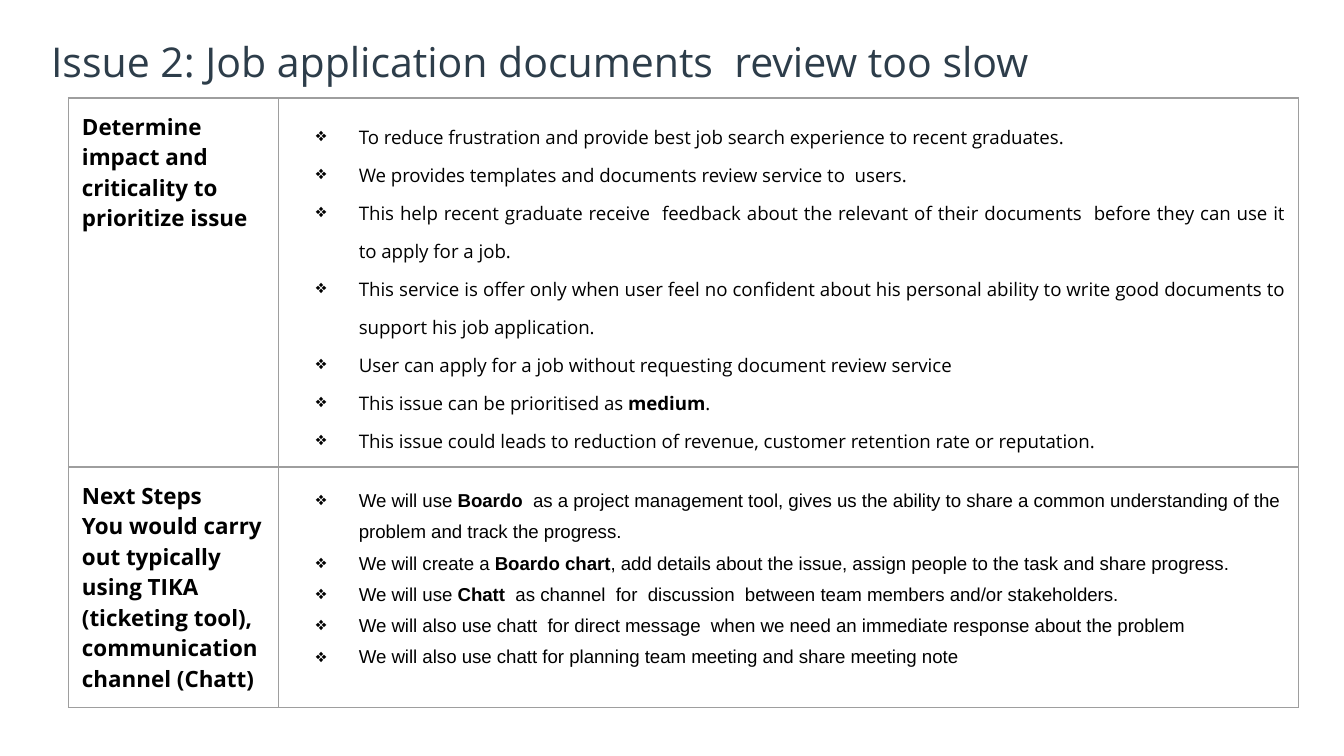
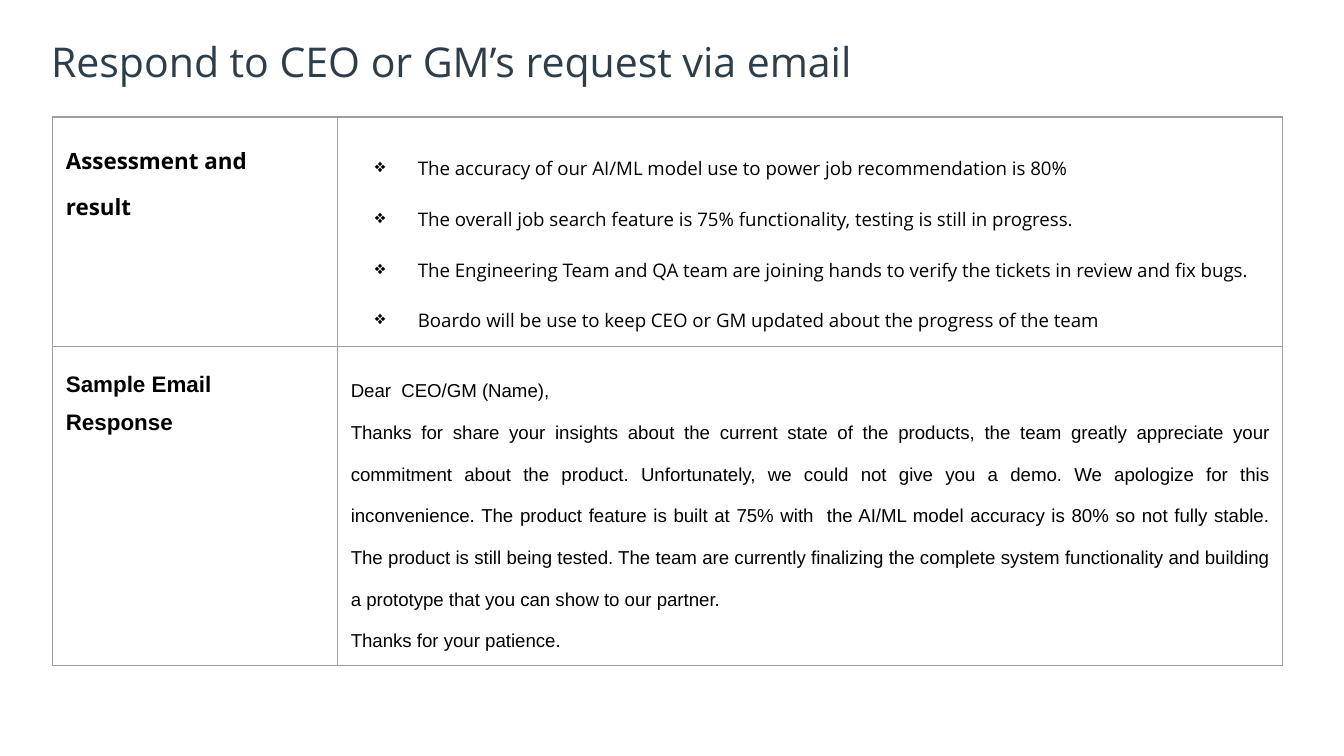
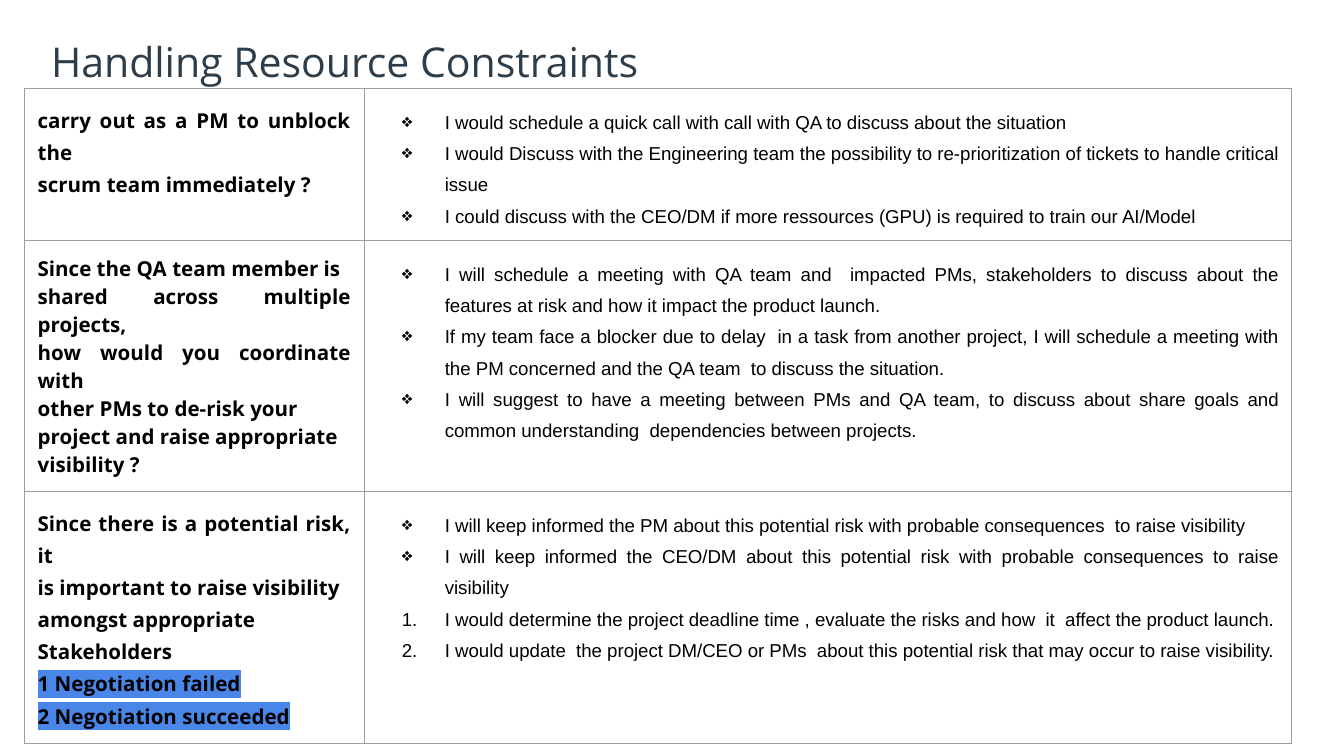
"""Builds three project-management slides, each a title above a bordered table."""
import dataclasses
import typing

import lxml.etree
import pptx
import pptx.dml.color
import pptx.enum.text
import pptx.oxml.ns
import pptx.util

GRID = pptx.util.Inches(0.1)
SLIDE_COLUMNS, SLIDE_ROWS = 100, 56.25
ROW_HEIGHT = 4.2
PADDING = 1
BULLET_MARGIN, BULLET_INDENT = 5, -3.2
TITLE_AREA = {"left": 3.4, "top": 2.4, "width": 93.2, "height": 4.3}
TITLE_PADDING = 0.4
INK, SLATE, RULE, MARKER = "000000", "2D3D4A", "9E9E9E", "4A86E8"
RULE_WIDTH = pptx.util.Pt(0.75)
SANS, ARIAL = "Open Sans", "Arial"
SIDES = ("left", "right", "top", "bottom")
LEFT = pptx.enum.text.PP_ALIGN.LEFT
JUSTIFY = pptx.enum.text.PP_ALIGN.JUSTIFY
DIAMOND, NUMBER = "❖", "1."


@dataclasses.dataclass(frozen=True)
class Style:
    """Look of a group of paragraphs."""
    size: float = 10
    font: str = SANS
    bold: bool = False
    align: pptx.enum.text.PP_ALIGN = JUSTIFY
    spacing: float = 1.0
    bullet: str = ""
    highlight: str = ""


@dataclasses.dataclass(frozen=True)
class Block:
    """Paragraphs in one style; double asterisks enclose bold words."""
    style: Style
    lines: tuple[str, ...]


@dataclasses.dataclass(frozen=True)
class Topic:
    """A table row: its heading and its answer."""
    heading: tuple[Block, ...]
    answer: tuple[Block, ...]


@dataclasses.dataclass(frozen=True)
class Page:
    """A slide with its table's place on the grid."""
    title: str
    left: float
    top: float
    columns: tuple[float, float]
    topics: tuple[Topic, ...]


HEADING = Style(size=12, bold=True, align=LEFT)
HEADING_WIDE = Style(size=12, bold=True, spacing=1.5)
QUESTION = Style(size=11, bold=True)
QUESTION_WIDE = dataclasses.replace(QUESTION, spacing=1.15)
SANS_LIST = Style(spacing=1.5, bullet=DIAMOND)
SANS_LIST_WIDE = dataclasses.replace(SANS_LIST, spacing=2.0)
ARIAL_LIST = dataclasses.replace(SANS_LIST, font=ARIAL)

PAGES = (
    Page("Issue 2: Job application documents  review too slow", 5.1, 7.3, (15.6, 75.9), (
        Topic(
            (Block(HEADING, ("Determine", "impact and", "criticality to", "prioritize issue")),),
            (Block(SANS_LIST, (
                "To reduce frustration and provide best job search experience to recent graduates.",
                "We provides templates and documents review service to  users.",
                "This help recent graduate receive  feedback about the relevant of their documents"
                "  before they can use it to apply for a job.",
                "This service is offer only when user feel no confident about his personal ability"
                " to write good documents to support his job application.",
                "User can apply for a job without requesting document review service",
                "This issue can be prioritised as **medium**.",
                "This issue could leads to reduction of revenue, customer retention rate or reputation.",
            )),)),
        Topic(
            (Block(HEADING, ("Next Steps", "You would carry", "out typically", "using TIKA",
                             "(ticketing tool),", "communication", "channel (Chatt)")),),
            (Block(dataclasses.replace(ARIAL_LIST, align=LEFT), (
                "We will use **Boardo**  as a project management tool, gives us the ability to share"
                " a common understanding of the problem and track the progress.",
                "We will create a **Boardo chart**, add details about the issue, assign people to the"
                " task and share progress.",
                "We will use **Chatt  **as channel  for  discussion  between team members and/or"
                " stakeholders.",
                "We will also use chatt  for direct message  when we need an immediate response about"
                " the problem",
                "We will also use chatt for planning team meeting and share meeting note",
            )),)),
    )),
    Page("Respond to CEO or GM’s request via email", 3.9, 8.7, (21.2, 70.3), (
        Topic(
            (Block(HEADING_WIDE, ("Assessment and", "result")),),
            (Block(SANS_LIST_WIDE, (
                "The accuracy of our AI/ML model use to power job recommendation is 80%",
                "The overall job search feature is 75% functionality, testing is still in progress.",
                "The Engineering Team and QA team are joining hands to verify the tickets in review"
                " and fix bugs.",
                "Boardo will be use to keep CEO or GM updated about the progress of the team",
            )),)),
        Topic(
            (Block(dataclasses.replace(HEADING_WIDE, font=ARIAL), ("Sample Email", "Response")),),
            (Block(Style(font=ARIAL, spacing=2.0), (
                "Dear  CEO/GM (Name),",
                "Thanks for share your insights about the current state of the products, the team"
                " greatly appreciate your commitment about the product. Unfortunately, we could not"
                " give you a demo. We apologize for this inconvenience. The product feature is built"
                " at 75% with  the AI/ML model accuracy is 80% so not fully stable. The product is"
                " still being tested. The team are currently finalizing the complete system"
                " functionality and building a prototype that you can show to our partner.",
                "Thanks for your patience.",
            )),)),
    )),
    Page("Handling Resource Constraints", 1.8, 6.6, (25.3, 69), (
        Topic(
            (Block(QUESTION_WIDE, ("carry out as a PM to unblock the", "scrum team immediately ?")),),
            (Block(ARIAL_LIST, (
                "I would schedule a quick call with call with QA to discuss about the situation",
                "I would Discuss with the Engineering team the possibility to re-prioritization of"
                " tickets to handle critical issue",
                "I could discuss with the CEO/DM if more ressources (GPU) is required to train our"
                " AI/Model",
            )),)),
        Topic(
            (Block(QUESTION, (
                "Since the QA team member is", "shared across multiple projects,",
                "how would you coordinate with", "other PMs to de-risk your",
                "project and raise appropriate", "visibility ?")),),
            (Block(ARIAL_LIST, (
                "I will schedule a meeting with QA team and  impacted PMs, stakeholders to discuss"
                " about the features at risk and how it impact the product launch.",
                "If my team face a blocker due to delay  in a task from another project, I will"
                " schedule a meeting with the PM concerned and the QA team  to discuss the situation.",
                "I will suggest to have a meeting between PMs and QA team, to discuss about share"
                " goals and common understanding  dependencies between projects.",
            )),)),
        Topic(
            (Block(QUESTION_WIDE, (
                "Since there is a potential risk, it", "is important to raise visibility",
                "amongst appropriate", "Stakeholders")),
             Block(dataclasses.replace(QUESTION_WIDE, highlight=MARKER), (
                 "1 Negotiation failed", "2 Negotiation succeeded"))),
            (Block(ARIAL_LIST, (
                "I will keep informed the PM about this potential risk with probable consequences"
                "  to raise visibility",
                "I will keep informed the CEO/DM about this potential risk with probable consequences"
                " to raise visibility")),
             Block(dataclasses.replace(ARIAL_LIST, bullet=NUMBER), (
                 "I would determine the project deadline time , evaluate the risks and how  it  affect"
                 " the product launch.",
                 "I would update  the project DM/CEO or PMs  about this potential risk that may occur"
                 " to raise visibility.")))),
    )),
)


def units(count: float) -> int:
    """Turn grid units into a length."""
    return round(count * GRID)


def colour(value: str) -> pptx.dml.color.RGBColor:
    """Turn a hex string into a colour."""
    return pptx.dml.color.RGBColor.from_string(value)


def assign(target: typing.Any, values: dict[str, typing.Any]) -> None:
    """Set each named attribute on the target."""
    for attribute, value in values.items():
        setattr(target, attribute, value)


def margins(size: float) -> dict[str, int]:
    """Give equal inner margins on every side."""
    return {f"margin_{side}": units(size) for side in SIDES}


def element(parent: typing.Any, tag: str, **attributes: str) -> typing.Any:
    """Append a drawing element to its parent."""
    return lxml.etree.SubElement(parent, pptx.oxml.ns.qn(f"a:{tag}"), attributes)


def add_colour(parent: typing.Any, tag: str, value: str) -> typing.Any:
    """Append an element that wraps a hex colour."""
    wrapper = element(parent, tag)
    element(wrapper, "srgbClr", val=value)
    return wrapper


def set_font(font: typing.Any, name: str, size: float, ink: str, bold: bool = False) -> None:
    """Format a font."""
    assign(font, {"name": name, "size": pptx.util.Pt(size), "bold": bold})
    font.color.rgb = colour(ink)


def add_bullet(paragraph: typing.Any, bullet: str) -> None:
    """Give a paragraph a hanging symbol or number."""
    properties = paragraph._p.get_or_add_pPr()
    properties.set("marL", str(units(BULLET_MARGIN)))
    properties.set("indent", str(units(BULLET_INDENT)))
    add_colour(properties, "buClr", INK)
    if bullet == NUMBER:
        element(properties, "buAutoNum", type="arabicPeriod")
    else:
        element(properties, "buChar", char=bullet)


def write_line(paragraph: typing.Any, line: str, style: Style) -> None:
    """Write one paragraph, switching bold at each marker."""
    assign(paragraph, {"alignment": style.align, "line_spacing": style.spacing})
    if style.bullet:
        add_bullet(paragraph, style.bullet)
    for position, words in enumerate(line.split("**")):
        run = paragraph.add_run()
        run.text = words
        set_font(run.font, style.font, style.size, INK, style.bold or position % 2 == 1)
        if style.highlight:
            properties = run._r.get_or_add_rPr()
            marker = add_colour(properties, "highlight", style.highlight)
            properties.find(pptx.oxml.ns.qn("a:solidFill")).addnext(marker)


def fill_cell(cell: typing.Any, blocks: tuple[Block, ...]) -> None:
    """Border a cell and write its blocks."""
    assign(cell, margins(PADDING))
    properties = cell._tc.get_or_add_tcPr()
    for side in SIDES:
        border = element(properties, f"ln{side[0].upper()}", w=str(RULE_WIDTH))
        add_colour(border, "solidFill", RULE)
    cell.fill.background()
    lines = [(line, block.style) for block in blocks for line in block.lines]
    for position, (line, style) in enumerate(lines):
        frame = cell.text_frame
        write_line(frame.add_paragraph() if position else frame.paragraphs[0], line, style)


def add_title(slide: typing.Any, text: str) -> None:
    """Place and format the slide title."""
    title = slide.shapes.title
    assign(title, {side: units(length) for side, length in TITLE_AREA.items()})
    frame = title.text_frame
    frame.text = text
    assign(frame, margins(TITLE_PADDING) | {
        "word_wrap": True,
        "auto_size": pptx.enum.text.MSO_AUTO_SIZE.NONE,
        "vertical_anchor": pptx.enum.text.MSO_ANCHOR.MIDDLE,
    })
    frame.paragraphs[0].alignment = LEFT
    set_font(frame.paragraphs[0].runs[0].font, SANS, 22, SLATE)


def add_topics(slide: typing.Any, page: Page) -> None:
    """Draw the page's topics as a table."""
    count = len(page.topics)
    topics = slide.shapes.add_table(
        count, len(page.columns), units(page.left), units(page.top),
        units(sum(page.columns)), units(count * ROW_HEIGHT)).table
    assign(topics, {"first_row": False, "horz_banding": False})
    for column, width in zip(topics.columns, page.columns):
        column.width = units(width)
    for row, topic in zip(topics.rows, page.topics):
        row.height = units(ROW_HEIGHT)
        for cell, blocks in zip(row.cells, (topic.heading, topic.answer)):
            fill_cell(cell, blocks)


def main() -> None:
    """Build and save the presentation."""
    deck = pptx.Presentation()
    assign(deck, {"slide_width": units(SLIDE_COLUMNS), "slide_height": units(SLIDE_ROWS)})
    title_only = deck.slide_layouts.get_by_name("Title Only")
    for page in PAGES:
        slide = deck.slides.add_slide(title_only)
        add_title(slide, page.title)
        add_topics(slide, page)
    deck.save("out.pptx")


if __name__ == "__main__":
    main()
